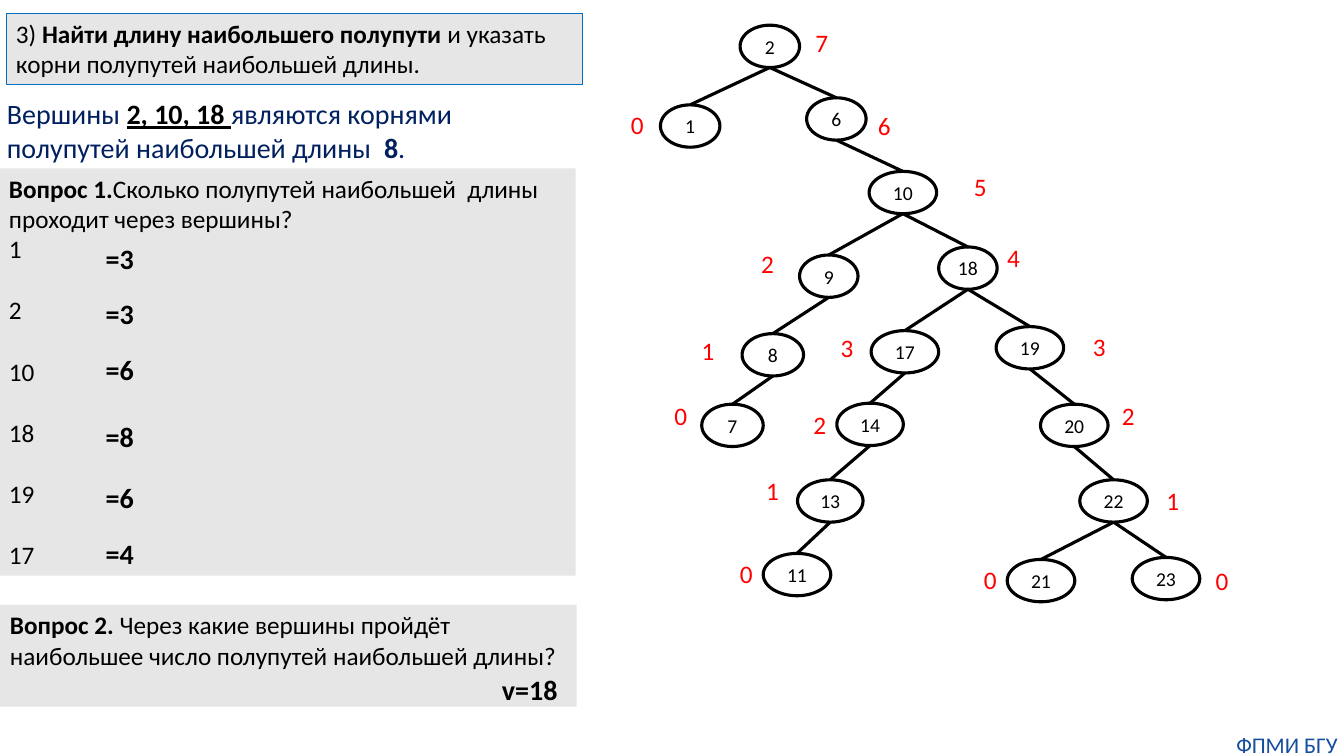
from lxml import etree
from pptx import Presentation
from pptx import util as u
from pptx.dml.color import RGBColor
from pptx.enum import shapes, text
from pptx.oxml.ns import qn

PX = 9144
FONT = "Calibri"
COLORS = {"ink": "000000", "red": "FF0000", "navy": "002060",
          "blue": "144E9D", "panel": "E7E6E6", "edge": "0070C0"}

NODE_H, LABEL_W, LABEL_H = 42, 33, 40
NODES = [
    ("2", None, (118, 3, 59), "7", (183, 0)),
    ("1", "2", (39, 82, 59), "0", (0, 82)),
    ("6", "2", (184, 75, 59), "6", (245, 83)),
    ("10", "6", (246, 148, 67), "5", (340, 143)),
    ("9", "10", (177, 231, 58), "2", (129, 219)),
    ("18", "10", (315, 223, 58), "4", (373, 214)),
    ("8", "9", (120, 309, 61), "1", (70, 306)),
    ("17", "18", (248, 306, 67), "3", (208, 303)),
    ("19", "18", (372, 302, 67), "3", (458, 302)),
    ("7", "8", (80, 379, 61), "0", (43, 370)),
    ("14", "17", (214, 378, 66), "2", (181, 379)),
    ("20", "19", (416, 379, 67), "2", (487, 370)),
    ("13", "14", (175, 454, 65), "1", (134, 445)),
    ("22", "20", (455, 454, 67), "1", (531, 455)),
    ("11", "13", (141, 527, 67), "0", (108, 527)),
    ("21", "22", (383, 533, 67), "0", (350, 533)),
    ("23", "22", (507, 531, 67), "0", (580, 534)),
]
COUNTS = [("1", "=3", 68), ("2", "=3", 122), ("10", "=6", 178),
          ("18", "=8", 244), ("19", "=6", 305), ("17", "=4", 360)]


def rgb(name):
    """Return the named colour."""
    return RGBColor.from_string(COLORS[name])


def add_runs(p, runs, size):
    """Fill a paragraph with (text, colour, bold, underline) runs."""
    for words, color, bold, underline in runs:
        r = p.add_run()
        r.text = words
        r.font.name, r.font.size = FONT, u.Pt(size)
        r.font.bold, r.font.underline = bold, underline
        r.font.color.rgb = rgb(color)


def add_text(s, box, runs, size, wrap=False):
    """Add a text box holding one paragraph."""
    sp = s.shapes.add_textbox(*(n * PX for n in box))
    sp.text_frame.word_wrap = wrap
    add_runs(sp.text_frame.paragraphs[0], runs, size)
    return sp


def add_outline(s, kind, box, fill=None, line=None, width=0.75):
    """Add a preset shape with a plain fill and line."""
    sp = s.shapes.add_shape(kind, *(n * PX for n in box))
    sp.shadow.inherit = False
    if fill:
        sp.fill.solid()
        sp.fill.fore_color.rgb = rgb(fill)
    else:
        sp.fill.background()
    if line:
        sp.line.color.rgb = rgb(line)
        sp.line.width = u.Pt(width)
    else:
        sp.line.fill.background()
    return sp


def add_panel(s, box, runs, line=None):
    """Add a grey panel with text from its top left corner."""
    sp = add_outline(s, shapes.MSO_SHAPE.RECTANGLE, box, "panel", line)
    tf = sp.text_frame
    tf.word_wrap = True
    tf.vertical_anchor = text.MSO_ANCHOR.TOP
    tf.paragraphs[0].alignment = text.PP_ALIGN.LEFT
    add_runs(tf.paragraphs[0], runs, 18)
    return sp


def add_node(s, box, name):
    """Add one numbered tree vertex."""
    sp = add_outline(s, shapes.MSO_SHAPE.OVAL, box, line="ink", width=2.25)
    tf = sp.text_frame
    tf.vertical_anchor = text.MSO_ANCHOR.MIDDLE
    p = tf.paragraphs[0]
    p.alignment = text.PP_ALIGN.CENTER
    add_runs(p, [(name, "ink", False, False)], 14)
    return sp


def add_edge(s, parent, child):
    """Join the bottom of a parent vertex to the top of its child."""
    line = s.shapes.add_connector(
        shapes.MSO_CONNECTOR.STRAIGHT,
        parent.left + parent.width // 2, parent.top + parent.height,
        child.left + child.width // 2, child.top)
    line.end_connect(child, 0)
    line.line.color.rgb = rgb("ink")
    line.line.width = u.Pt(2.25)
    etree.SubElement(line._element.spPr, qn("a:effectLst"))


def draw_tree(s, left, top):
    """Draw the tree with the half-path length beside each vertex."""
    placed = {}
    for name, parent, (x, y, w), label, (lx, ly) in NODES:
        add_text(s, (left + lx, top + ly, LABEL_W, LABEL_H),
                 [(label, "red", False, False)], 18)
        placed[name] = add_node(s, (left + x, top + y, w, NODE_H), name)
    for name, parent, *_ in NODES:
        if parent:
            add_edge(s, placed[parent], placed[name])


def draw_task(s, left, top):
    """Draw the task statement and its answer."""
    add_panel(s, (left, top, 572, 71), [
        ("3) ", "ink", False, False),
        ("Найти длину наибольшего полупути ", "ink", True, False),
        ("и указать корни полупутей наибольшей длины.", "ink", False, False),
    ], line="edge")
    add_text(s, (left - 9, top + 78, 465, 77), [
        ("Вершины ", "navy", False, False),
        ("2, 10, 18 ", "ink", True, True),
        ("являются корнями полупутей наибольшей длины  ", "navy", False, False),
        ("8", "navy", True, False),
        (".", "navy", False, False),
    ], 20, wrap=True)


def draw_counts(s, left, top):
    """Draw the first question with a count for each vertex."""
    sp = add_panel(s, (left, top, 572, 404), [
        ("Вопрос 1.", "ink", True, False),
        ("Сколько полупутей наибольшей  длины проходит через вершины?",
         "ink", False, False),
    ])
    for i, (vertex, count, y) in enumerate(COUNTS):
        p = sp.text_frame.add_paragraph()
        p.alignment = text.PP_ALIGN.LEFT
        p.space_before = u.Pt(22 if i else 0)
        add_runs(p, [(vertex, "ink", False, False)], 18)
        add_text(s, (left + 96, top + y, 48, 44),
                 [(count, "ink", True, False)], 20)


def draw_best_vertex(s, left, top):
    """Draw the second question and its answer."""
    add_panel(s, (left, top, 572, 101), [
        ("Вопрос 2. ", "ink", True, False),
        ("Через какие вершины пройдёт наибольшее число полупутей "
         "наибольшей длины?", "ink", False, False),
    ])
    add_text(s, (left + 488, top + 62, 76, 44),
             [("v=18", "ink", True, False)], 20)


def draw_footer(s, left, top):
    """Draw the department name."""
    sp = add_text(s, (left, top, 113, 27),
                  [("ФПМИ БГУ", "blue", False, False)], 16)
    tf = sp.text_frame
    tf.margin_left = tf.margin_top = tf.margin_right = tf.margin_bottom = 0
    tf.paragraphs[0].alignment = text.PP_ALIGN.CENTER


def main():
    """Build the slide and save it."""
    prs = Presentation()
    prs.slide_width, prs.slide_height = 1333 * PX, 750 * PX
    s = prs.slides.add_slide(prs.slide_layouts[6])
    draw_tree(s, 616, 22)
    draw_task(s, 6, 13)
    draw_counts(s, -1, 167)
    draw_best_vertex(s, 0, 600)
    draw_footer(s, 1220, 725)
    prs.save("out.pptx")


if __name__ == "__main__":
    main()
